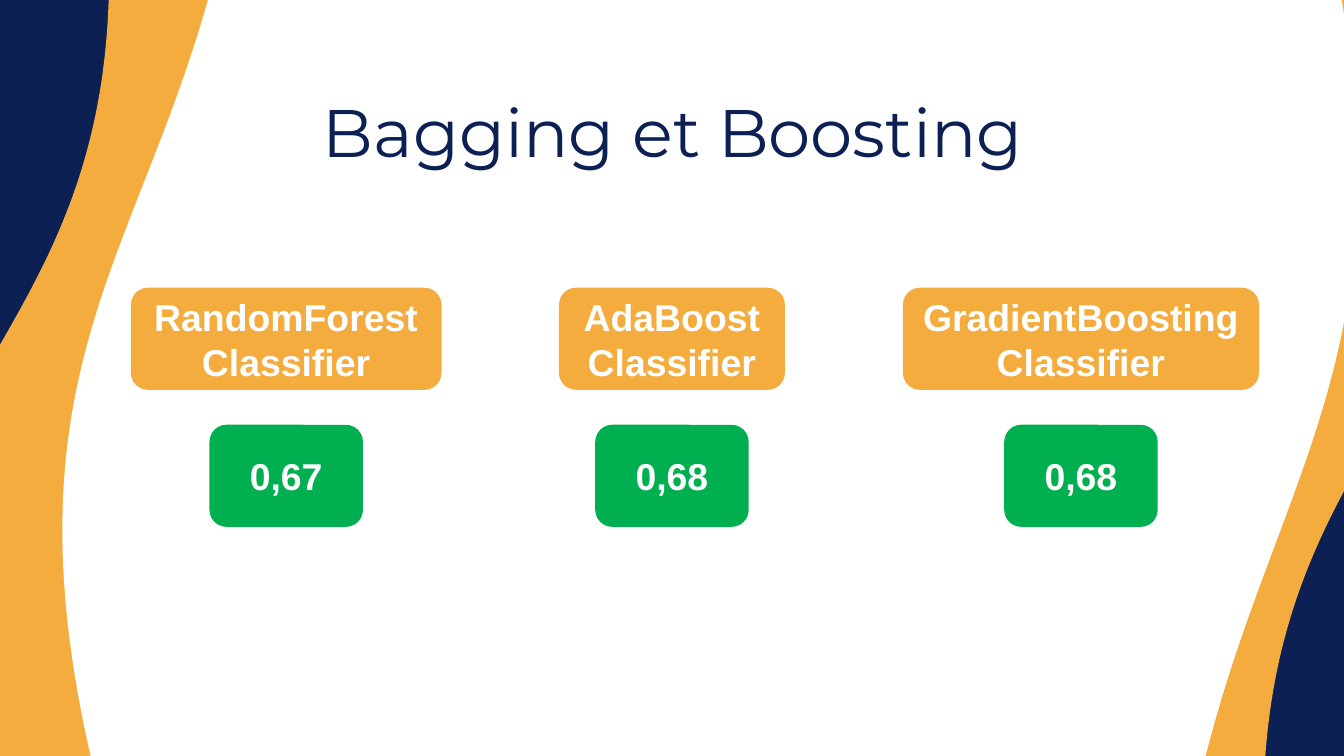
from pptx import Presentation
from pptx.dml.color import RGBColor
from pptx.enum.shapes import MSO_SHAPE as Shape
from pptx.enum.text import MSO_ANCHOR as Anchor, MSO_AUTO_SIZE as AutoSize, PP_ALIGN as Align
from pptx.util import Cm, Pt

COLORS = {"navy": "0C2054", "orange": "F3AC3D", "green": "00B050", "white": "FFFFFF"}

WAVES = [
    (0.08, -2.39, 15.82, 19.63, 90, "orange"),
    (10.01, -2.41, 15.88, 19.63, 270, "orange"),
    (3.68, -0.97, 24.56, 19.91, 270, "white"),
    (-0.81, -5.13, 23.11, 19.63, 90, "white"),
]

MODELS = [
    ("RandomForest", "0,67", 5.41, 5.87),
    ("AdaBoost", "0,68", 12.7, 4.27),
    ("GradientBoosting", "0,68", 20.43, 6.73),
]

BOX_HEIGHT = 1.93
NAME_TOP = 5.44
SCORE_TOP = 8.03
SCORE_WIDTH = 2.9


def rgb(name):
    return RGBColor.from_string(COLORS[name])


def add_filled(s, kind, box, color):
    sp = s.shapes.add_shape(kind, *map(Cm, box))
    sp.shadow.inherit = False
    sp.fill.solid()
    sp.fill.fore_color.rgb = rgb(color)
    sp.line.fill.background()
    return sp


def add_wave(s, left, top, width, height, rotation, color):
    sp = add_filled(s, Shape.FLOWCHART_DOCUMENT, (left, top, width, height), color)
    sp.rotation = rotation
    sp._element.spPr.get_or_add_xfrm().set("flipH", "1")


def write(sp, text, font, size, color, bold=False):
    tf = sp.text_frame
    tf.word_wrap = True
    tf.auto_size = AutoSize.NONE
    tf.vertical_anchor = Anchor.MIDDLE
    tf.margin_left = tf.margin_right = tf.margin_top = tf.margin_bottom = Cm(0.25)
    p = tf.paragraphs[0]
    p.text = text
    p.alignment = Align.CENTER
    p.font.name = font
    p.font.size = Pt(size)
    p.font.bold = bold
    p.font.color.rgb = rgb(color)


def add_box(s, text, center, top, width, color):
    box = (center - width / 2, top, width, BOX_HEIGHT)
    sp = add_filled(s, Shape.ROUNDED_RECTANGLE, box, color)
    write(sp, text, "Arial", 20, "white", bold=True)


def add_title(s, text):
    title = s.shapes.title
    title.left, title.top, title.width, title.height = map(Cm, (2.01, 1.14, 21.41, 2.67))
    write(title, text, "Montserrat", 36, "navy")
    s.shapes._spTree.append(title._element)


def main():
    prs = Presentation()
    prs.slide_width, prs.slide_height = Cm(25.4), Cm(14.29)
    s = prs.slides.add_slide(prs.slide_layouts[5])
    s.background.fill.solid()
    s.background.fill.fore_color.rgb = rgb("navy")
    for wave in WAVES:
        add_wave(s, *wave)
    add_title(s, "Bagging et Boosting")
    for name, score, center, width in MODELS:
        add_box(s, f"{name}\vClassifier", center, NAME_TOP, width, "orange")
        add_box(s, score, center, SCORE_TOP, SCORE_WIDTH, "green")
    prs.save("out.pptx")


if __name__ == "__main__":
    main()
